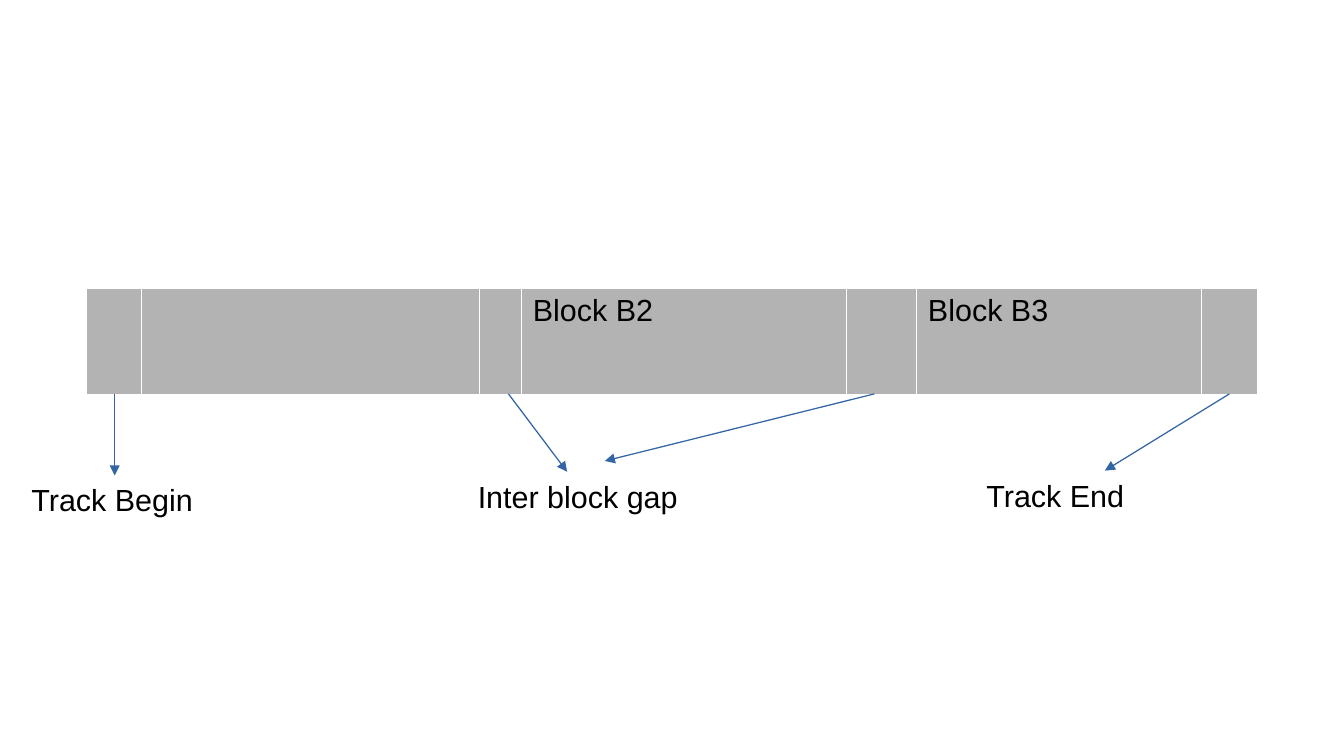
from pptx import Presentation
from pptx.dml.color import RGBColor
from pptx.enum.shapes import MSO_CONNECTOR
from pptx.oxml.ns import qn
from pptx.util import Pt
from lxml.etree import SubElement

GREY, WHITE, BLUE, BLACK = "B3B3B3", "FFFFFF", "3465A4", "000000"
BLOCKS = [(32.4, ""), (199.4, ""), (24.5, ""), (192.3, "Block B2"),
          (41, ""), (168.5, "Block B3"), (33.1, "")]
LABELS = [("Inter block gap", 275, 278.6), ("Track Begin", 11.5, 280.8),
          ("Track End", 575.3, 277.9)]
ARROWS = [(67.7, 67.7, 280.8), (300.2, 334.8, 278.6),
          (516.2, 357.1, 272.2), (725.8, 652.3, 277.9)]


def paint(part, color):
    """Give a fill, or any part that has one, a solid colour."""
    part.solid()
    part.fore_color.rgb = RGBColor.from_string(color)


def write(frame, text):
    """Put one run of black Arial in a text frame."""
    run = frame.paragraphs[0].add_run()
    run.text = text
    run.font.name, run.font.size = "Arial", Pt(18)
    paint(run.font.fill, BLACK)


def edge(cell):
    """Draw hairline white borders, which must come before the fill."""
    props = cell._tc.get_or_add_tcPr()
    for side in ("lnL", "lnR", "lnT", "lnB"):
        line = SubElement(props, qn("a:" + side), w="762")
        fill = SubElement(line, qn("a:solidFill"))
        SubElement(fill, qn("a:srgbClr"), val=WHITE)


def track(slide, left, top, height):
    """Draw the tape as a one-row table of blocks and gaps."""
    width = sum(size for size, _ in BLOCKS)
    table = slide.shapes.add_table(
        1, len(BLOCKS), Pt(left), Pt(top), Pt(width), Pt(height)).table
    table.first_row = table.horz_banding = False
    table.rows[0].height = Pt(height)
    for col, (size, text) in enumerate(BLOCKS):
        table.columns[col].width = Pt(size)
        cell = table.cell(0, col)
        edge(cell)
        paint(cell.fill, GREY)
        if text:
            write(cell.text_frame, text)


def label(slide, text, left, top, width=237.6, height=26.6):
    """Add a caption below the track."""
    frame = slide.shapes.add_textbox(
        Pt(left), Pt(top), Pt(width), Pt(height)).text_frame
    frame.word_wrap = True
    write(frame, text)


def arrow(slide, start, top, end, base):
    """Point from the track's lower edge to a caption."""
    line = slide.shapes.add_connector(
        MSO_CONNECTOR.STRAIGHT, Pt(start), Pt(top), Pt(end), Pt(base))
    line.line.width = Pt(0.75)
    paint(line.line.fill, BLUE)
    SubElement(line.line._get_or_add_ln(), qn("a:tailEnd"), type="triangle")
    SubElement(line._element.spPr, qn("a:effectLst"))


def diagram(slide, left, top, height):
    """Place the track, its captions and their arrows."""
    track(slide, left, top, height)
    for text, x, y in LABELS:
        label(slide, text, x, y)
    for start, end, base in ARROWS:
        arrow(slide, start, top + height, end, base)


deck = Presentation()
deck.slide_width, deck.slide_height = Pt(793.44), Pt(446.4)
page = deck.slides.add_slide(deck.slide_layouts[6])
diagram(page, 51.1, 169.9, 62.7)
deck.save("out.pptx")
